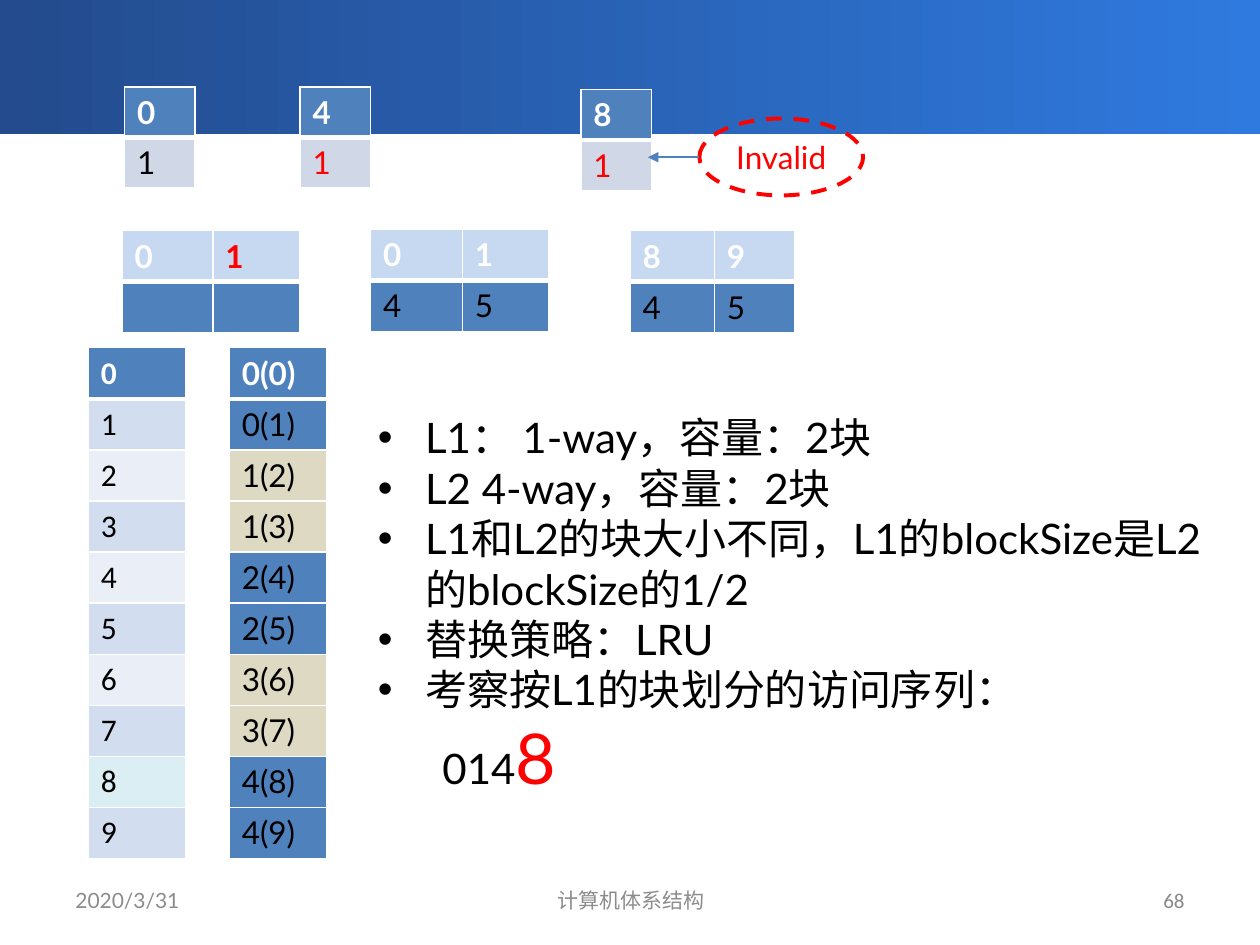
import pptx
import pptx.util
import pptx.dml.color
import pptx.enum.dml
import pptx.enum.shapes
import pptx.enum.text
import pptx.oxml
from pptx.util import Cm

FONT = "Lato"
NS = 'xmlns:a="http://schemas.openxmlformats.org/drawingml/2006/main"'
ALIGN = pptx.enum.text.PP_ALIGN
MIDDLE = pptx.enum.text.MSO_ANCHOR.MIDDLE
WHITE, BLACK, RED = "FFFFFF", "000000", "FF0000"
BLUE, SKY, GREY, SAND = "4F81BD", "C6D9F1", "D0D8E8", "DDD9C3"
PALE, PALER, MINT = "D2DEEF", "EAEFF7", "DBEEF4"

L1_BLOCKS = [
    (2.51, 1.75, "0", BLACK),
    (6.05, 1.75, "4", RED),
    (11.71, 1.8, "8", RED),
]
L2_SETS = [
    (2.46, 4.65, (1.83, 1.75), [("0", WHITE), ("1", RED)], ["", ""]),
    (7.47, 4.62, (1.85, 1.75), [("0", WHITE), ("1", WHITE)], ["4", "5"]),
    (12.7, 4.65, (1.7, 1.63), [("8", WHITE), ("9", WHITE)], ["4", "5"]),
]
ADDRESS_FILLS = [BLUE, PALE, PALER, PALE, PALER, PALE, PALER, PALE, MINT, PALE]
MEMORY_FILLS = [BLUE, BLUE, SAND, SAND, BLUE, BLUE, SAND, SAND, BLUE, BLUE]
NOTES = [
    "L1： 1-way，容量：2块",
    "L2 4-way，容量：2块",
    "L1和L2的块大小不同，L1的blockSize是L2的blockSize的1/2",
    "替换策略：LRU",
    "考察按L1的块划分的访问序列：",
]
FOOTERS = [
    (1.27, 5.92, "2020/3/31", ALIGN.LEFT, FONT, "8C8C8C"),
    (8.69, 8.05, "计算机体系结构", ALIGN.CENTER, FONT, "8C8C8C"),
    (18.21, 5.92, "68", ALIGN.RIGHT, "Calibri", "898989"),
]


def rgb(value):
    return pptx.dml.color.RGBColor.from_string(value)


def write(p, text, size=18, color=BLACK, bold=False, font=FONT, align=None):
    if align is not None:
        p.alignment = align
    r = p.add_run()
    r.text = text
    r.font.name = font
    r.font.size = pptx.util.Pt(size)
    r.font.bold = bold
    r.font.color.rgb = rgb(color)


def indent(p, left, hanging=0, bullet=None):
    pPr = p._p.get_or_add_pPr()
    pPr.set("marL", str(Cm(left)))
    pPr.set("indent", str(-Cm(hanging)))
    if bullet:
        pPr.append(pptx.oxml.parse_xml(f'<a:buFont {NS} typeface="Arial"/>'))
        pPr.append(pptx.oxml.parse_xml(f'<a:buChar {NS} char="{bullet}"/>'))


def add_borders(cell, row):
    widths = {"L": 1, "R": 1, "T": 3 if row == 1 else 1, "B": 3 if row == 0 else 1}
    for side, width in widths.items():
        cell._tc.get_or_add_tcPr().append(pptx.oxml.parse_xml(
            f'<a:ln{side} {NS} w="{width * 12700}"><a:solidFill>'
            f'<a:srgbClr val="{WHITE}"/></a:solidFill></a:ln{side}>'))


def add_grid(s, left, top, cols, rows, row_height=1.03, font=FONT):
    t = s.shapes.add_table(len(rows), len(cols), Cm(left), Cm(top),
                           Cm(sum(cols)), Cm(row_height * len(rows))).table
    t.horz_banding = False
    for column, width in zip(t.columns, cols):
        column.width = Cm(width)
    for i, (fill, cells) in enumerate(rows):
        t.rows[i].height = Cm(row_height)
        for j, (text, color) in enumerate(cells):
            cell = t.cell(i, j)
            add_borders(cell, i)
            cell.fill.solid()
            cell.fill.fore_color.rgb = rgb(fill)
            if text:
                write(cell.text_frame.paragraphs[0], text, color=color,
                      bold=i == 0, font=font)


def add_column(s, left, labels, fills, font=FONT):
    rows = [(fill, [(label, BLACK if i else WHITE)])
            for i, (label, fill) in enumerate(zip(labels, fills))]
    add_grid(s, left, 7.01, [1.96], rows, font=font)


def add_text(s, left, top, width, height):
    tf = s.shapes.add_textbox(Cm(left), Cm(top), Cm(width), Cm(height)).text_frame
    tf.word_wrap = True
    return tf


def add_band(s, width):
    sp = s.shapes.add_shape(pptx.enum.shapes.MSO_SHAPE.RECTANGLE, 0, 0, width, Cm(2.71))
    sp.shadow.inherit = False
    sp.line.fill.background()
    sp.fill.gradient()
    sp.fill.gradient_angle = 0
    for stop, color in zip(sp.fill.gradient_stops, ("234B8D", "2F7ADF")):
        stop.color.rgb = rgb(color)


def add_callout(s):
    sp = s.shapes.add_shape(pptx.enum.shapes.MSO_SHAPE.OVAL,
                            Cm(14.1), Cm(2.39), Cm(3.3), Cm(1.55))
    sp.shadow.inherit = False
    sp.fill.background()
    sp.line.color.rgb = rgb(RED)
    sp.line.width = pptx.util.Pt(2.25)
    sp.line.dash_style = pptx.enum.dml.MSO_LINE.DASH
    tf = sp.text_frame
    tf.vertical_anchor = MIDDLE
    write(tf.paragraphs[0], "Invalid", color=RED, align=ALIGN.CENTER)

    arrow = s.shapes.add_connector(pptx.enum.shapes.MSO_CONNECTOR.STRAIGHT,
                                   Cm(14.1), Cm(3.17), Cm(13.06), Cm(3.17))
    arrow.line.color.rgb = rgb(BLUE)
    arrow.line.width = pptx.util.Pt(1)
    arrow.line._get_or_add_ln().append(
        pptx.oxml.parse_xml(f'<a:tailEnd {NS} type="triangle"/>'))
    arrow._element.spPr.append(pptx.oxml.parse_xml(f'<a:effectLst {NS}/>'))


def add_notes_text(s):
    tf = add_text(s, 7.37, 8.18, 17.75, 9.14)
    for i, note in enumerate(NOTES):
        p = tf.add_paragraph() if i else tf.paragraphs[0]
        indent(p, 0.95, 0.95, "•")
        write(p, note, size=24)
    p = tf.add_paragraph()
    indent(p, 1.3)
    write(p, "014", size=24)
    write(p, "8", size=40, color=RED)


def main():
    prs = pptx.Presentation()
    prs.slide_width, prs.slide_height = Cm(25.4), Cm(19.05)
    s = prs.slides.add_slide(prs.slide_layouts[6])
    add_band(s, prs.slide_width)
    for left, top, block, color in L1_BLOCKS:
        add_grid(s, left, top, [1.42],
                 [(BLUE, [(block, WHITE)]), (GREY, [("1", color)])], 1.02)
    for left, top, cols, first, second in L2_SETS:
        add_grid(s, left, top, cols,
                 [(SKY, first), (BLUE, [(text, BLACK) for text in second])])
    add_column(s, 1.78, [str(n) for n in range(10)], ADDRESS_FILLS, "Calibri")
    add_column(s, 4.62, [f"{n // 2}({n})" for n in range(10)], MEMORY_FILLS)
    add_notes_text(s)
    add_callout(s)
    for left, width, text, align, font, color in FOOTERS:
        tf = add_text(s, left, 17.65, width, 1.01)
        tf.vertical_anchor = MIDDLE
        write(tf.paragraphs[0], text, size=12, color=color, font=font, align=align)
    prs.save("out.pptx")


if __name__ == "__main__":
    main()
